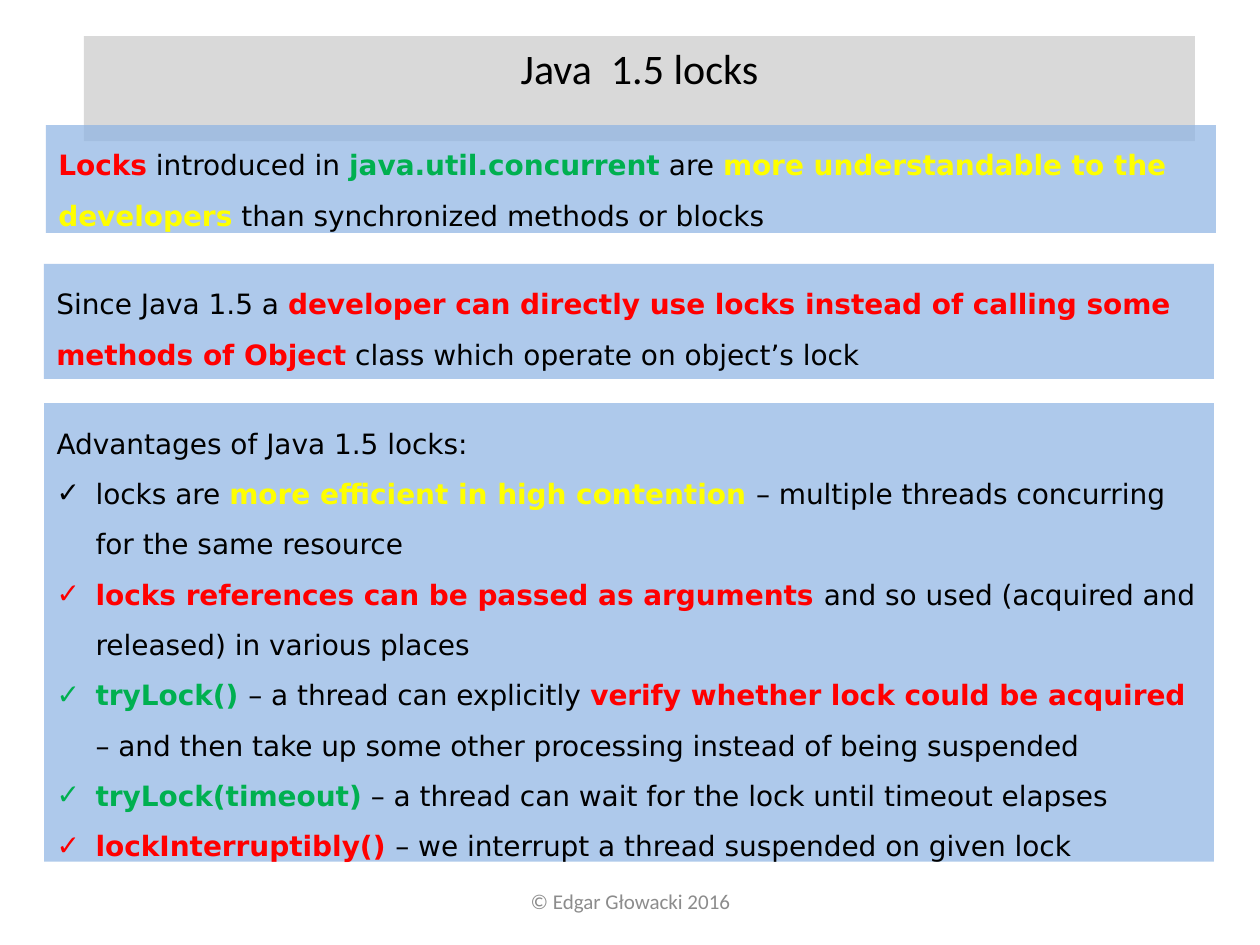
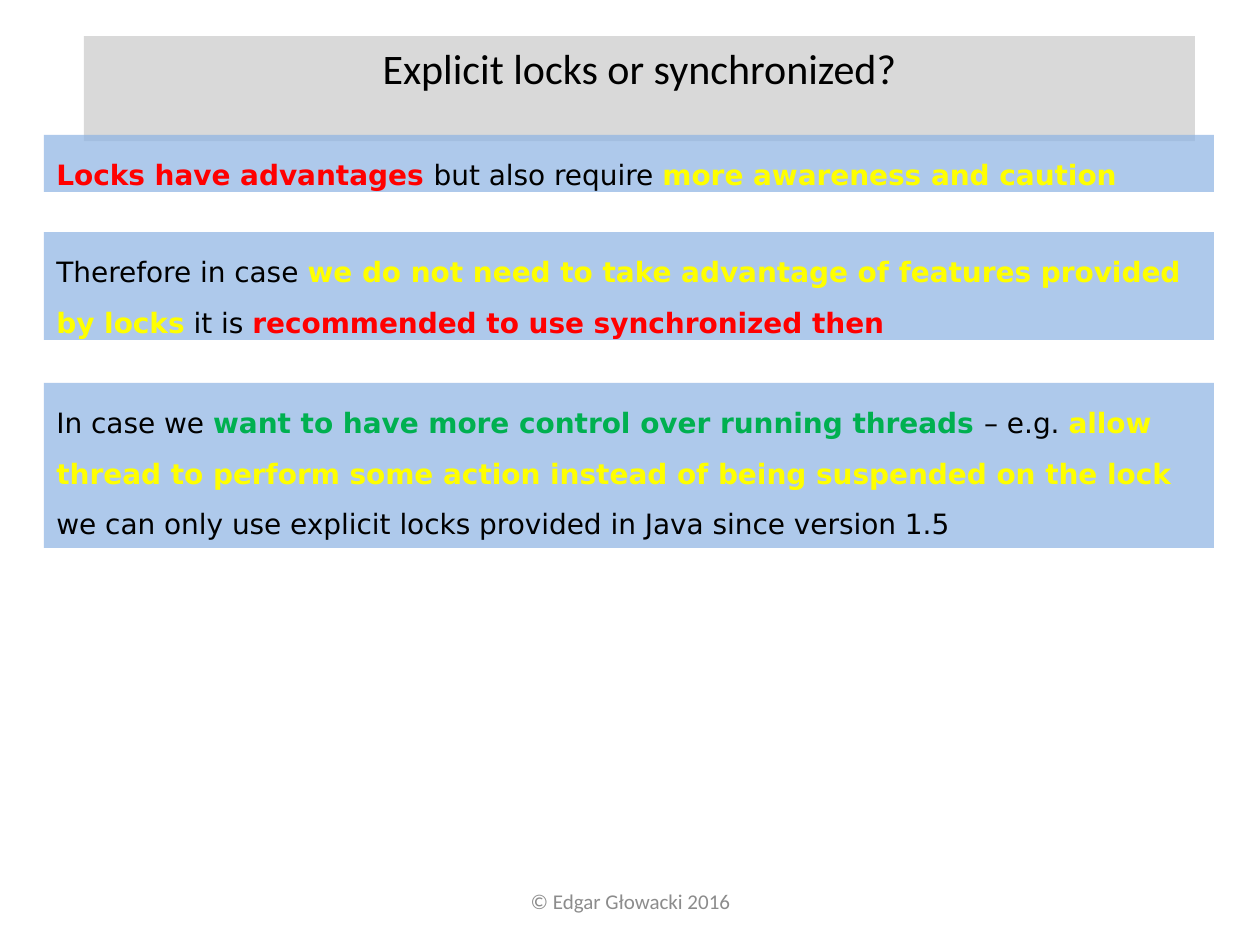
from dataclasses import dataclass
from typing import Any, NamedTuple

from lxml import etree
from pptx import Presentation
from pptx.dml.color import RGBColor
from pptx.enum.shapes import MSO_SHAPE
from pptx.enum.text import MSO_ANCHOR, MSO_AUTO_SIZE, PP_ALIGN
from pptx.oxml.ns import qn
from pptx.util import Pt

RECTANGLE = MSO_SHAPE.RECTANGLE
TOP, MIDDLE = MSO_ANCHOR.TOP, MSO_ANCHOR.MIDDLE
GROW, FIXED = MSO_AUTO_SIZE.SHAPE_TO_FIT_TEXT, MSO_AUTO_SIZE.NONE
LEFT, CENTER = PP_ALIGN.LEFT, PP_ALIGN.CENTER

EMU_PER_PX = 914400 / 126
CONTENT_LAYOUT, TITLE_LAYOUT = 1, 5


@dataclass(frozen=True)
class Theme:
    black: str = "000000"
    red: str = "FF0000"
    green: str = "00B050"
    yellow: str = "FFFF00"
    grey: str = "8C8C8C"
    title_band: str = "D9D9D9"
    panel: str = "8EB4E3"
    panel_alpha: int = 71
    heading_font: str = "Calibri"
    body_font: str = "DejaVu Sans"
    title_size: int = 24
    body_size: int = 16
    footer_size: int = 12
    line_spacing: float = 1.5


THEME = Theme()


class Box(NamedTuple):
    left: int
    top: int
    width: int
    height: int


class Piece(NamedTuple):
    text: str
    color: str = THEME.black
    bold: bool = False


class Line(NamedTuple):
    pieces: tuple[Piece, ...]
    bulleted: bool = False


@dataclass(frozen=True)
class Panel:
    top: int
    height: int
    lines: tuple[Line, ...]
    left: int = 44
    is_list: bool = False


@dataclass(frozen=True)
class SlideContent:
    title: str
    panels: tuple[Panel, ...]


TITLE_BOX = Box(84, 36, 1111, 63)
FOOTER_BOX = Box(431, 876, 399, 50)
FOOTER_TEXT = "© Edgar Głowacki 2016"
PANEL_WIDTH = 1170
BULLET_INDENT = 39


def red(text: str) -> Piece:
    return Piece(text, THEME.red, True)


def green(text: str) -> Piece:
    return Piece(text, THEME.green, True)


def yellow(text: str) -> Piece:
    return Piece(text, THEME.yellow, True)


def line(*pieces: Piece, bulleted: bool = False) -> Line:
    return Line(pieces, bulleted)


# Slide wording
SLIDES = (
    SlideContent("Java  1.5 locks", (
        Panel(125, 108, (line(
            red("Locks"), Piece(" introduced in "), green("java.util.concurrent"),
            Piece(" are "), yellow("more understandable to the developers"),
            Piece(" than synchronized methods or blocks")),), left=46),
        Panel(264, 115, (line(
            Piece("Since Java 1.5 a "),
            red("developer can directly use locks instead of calling some methods of Object"),
            Piece(" class which operate on object’s lock")),)),
        Panel(403, 471, (
            line(Piece("Advantages of Java 1.5 locks:")),
            line(Piece("locks are "), yellow("more efficient in high contention "),
                 Piece("– multiple threads concurring for the same resource"), bulleted=True),
            line(red("locks references can be passed as arguments "),
                 Piece("and so used (acquired and released) in various places"), bulleted=True),
            line(green("tryLock() "), Piece("– a thread can explicitly "),
                 red("verify whether lock could be acquired "),
                 Piece("– and then take up some other processing instead of being suspended"),
                 bulleted=True),
            line(green("tryLock(timeout)"),
                 Piece(" – a thread can wait for the lock until timeout elapses"), bulleted=True),
            line(red("lockInterruptibly() "),
                 Piece("– we interrupt a thread suspended on given lock"), bulleted=True),
        ), is_list=True),
    )),
    SlideContent("Explicit locks or synchronized?", (
        Panel(135, 57, (line(
            red("Locks have advantages "), Piece("but also require "),
            yellow("more awareness and caution")),)),
        Panel(232, 108, (line(
            Piece("Therefore in case "),
            yellow("we do not need to take advantage of features provided by locks"),
            Piece(" it is "), red("recommended to use synchronized then")),)),
        Panel(383, 165, (line(
            Piece("In case we "), green("want to have more control over running threads "),
            Piece("– e.g. "),
            yellow("allow thread to perform some action instead of being suspended on the lock "),
            Piece("we can only use explicit locks provided in Java since version 1.5")),)),
    )),
)


def px(length: int) -> int:
    return round(length * EMU_PER_PX)


def apply_format(target: Any, formats: dict[str, Any]) -> None:
    for name, value in formats.items():
        setattr(target, name, value)


def place(shape: Any, box: Box) -> None:
    apply_format(shape, {name: px(value) for name, value in box._asdict().items()})


def paint(shape: Any, color: str, alpha: int = 100) -> None:
    shape.shadow.inherit = False
    shape.fill.solid()
    shape.fill.fore_color.rgb = RGBColor.from_string(color)
    shape.line.fill.background()
    if alpha < 100:
        color_element = next(shape._element.spPr.iter(qn("a:srgbClr")))
        etree.SubElement(color_element, qn("a:alpha"), val=str(alpha * 1000))


def set_frame(shape: Any, anchor: Any, auto_size: Any) -> None:
    apply_format(shape.text_frame, {
        "word_wrap": True, "auto_size": auto_size, "vertical_anchor": anchor})


def add_piece(paragraph: Any, piece: Piece, font: str, size: int) -> None:
    run = paragraph.add_run()
    run.text = piece.text
    apply_format(run.font, {"name": font, "size": Pt(size), "bold": piece.bold})
    run.font.color.rgb = RGBColor.from_string(piece.color)


def set_bullet(paragraph: Any, bulleted: bool) -> None:
    properties = paragraph._p.get_or_add_pPr()
    indent = px(BULLET_INDENT) if bulleted else 0
    properties.set("marL", str(indent))
    properties.set("indent", str(-indent))
    if bulleted:
        etree.SubElement(properties, qn("a:buFont"), typeface=THEME.body_font)
        etree.SubElement(properties, qn("a:buChar"), char="✓")
    else:
        etree.SubElement(properties, qn("a:buNone"))


def write_heading(shape: Any, piece: Piece, size: int) -> None:
    paragraph = shape.text_frame.paragraphs[0]
    paragraph.alignment = CENTER
    add_piece(paragraph, piece, THEME.heading_font, size)


def add_title(slide: Any, text: str) -> None:
    title = slide.shapes.title
    place(title, TITLE_BOX)
    paint(title, THEME.title_band)
    set_frame(title, TOP, GROW)
    write_heading(title, Piece(text), THEME.title_size)


def add_footer(slide: Any) -> None:
    footer = slide.shapes.add_textbox(*map(px, FOOTER_BOX))
    set_frame(footer, MIDDLE, FIXED)
    write_heading(footer, Piece(FOOTER_TEXT, THEME.grey), THEME.footer_size)


def add_panel(slide: Any, panel: Panel) -> None:
    box = Box(panel.left, panel.top, PANEL_WIDTH, panel.height)
    if panel.is_list:
        shape = slide.placeholders[1]
        place(shape, box)
    else:
        shape = slide.shapes.add_shape(RECTANGLE, *map(px, box))
    paint(shape, THEME.panel, THEME.panel_alpha)
    set_frame(shape, TOP, GROW)
    for index, content in enumerate(panel.lines):
        frame = shape.text_frame
        paragraph = frame.add_paragraph() if index else frame.paragraphs[0]
        set_bullet(paragraph, content.bulleted)
        apply_format(paragraph, {
            "alignment": LEFT, "line_spacing": THEME.line_spacing,
            "space_before": Pt(0), "space_after": Pt(0)})
        for piece in content.pieces:
            add_piece(paragraph, piece, THEME.body_font, THEME.body_size)


def main() -> None:
    presentation = Presentation()
    apply_format(presentation, {"slide_width": px(1260), "slide_height": px(945)})
    for content in SLIDES:
        has_list = any(panel.is_list for panel in content.panels)
        layout = presentation.slide_layouts[CONTENT_LAYOUT if has_list else TITLE_LAYOUT]
        slide = presentation.slides.add_slide(layout)
        add_footer(slide)
        add_title(slide, content.title)
        for panel in content.panels:
            add_panel(slide, panel)
    presentation.save("out.pptx")


if __name__ == "__main__":
    main()
